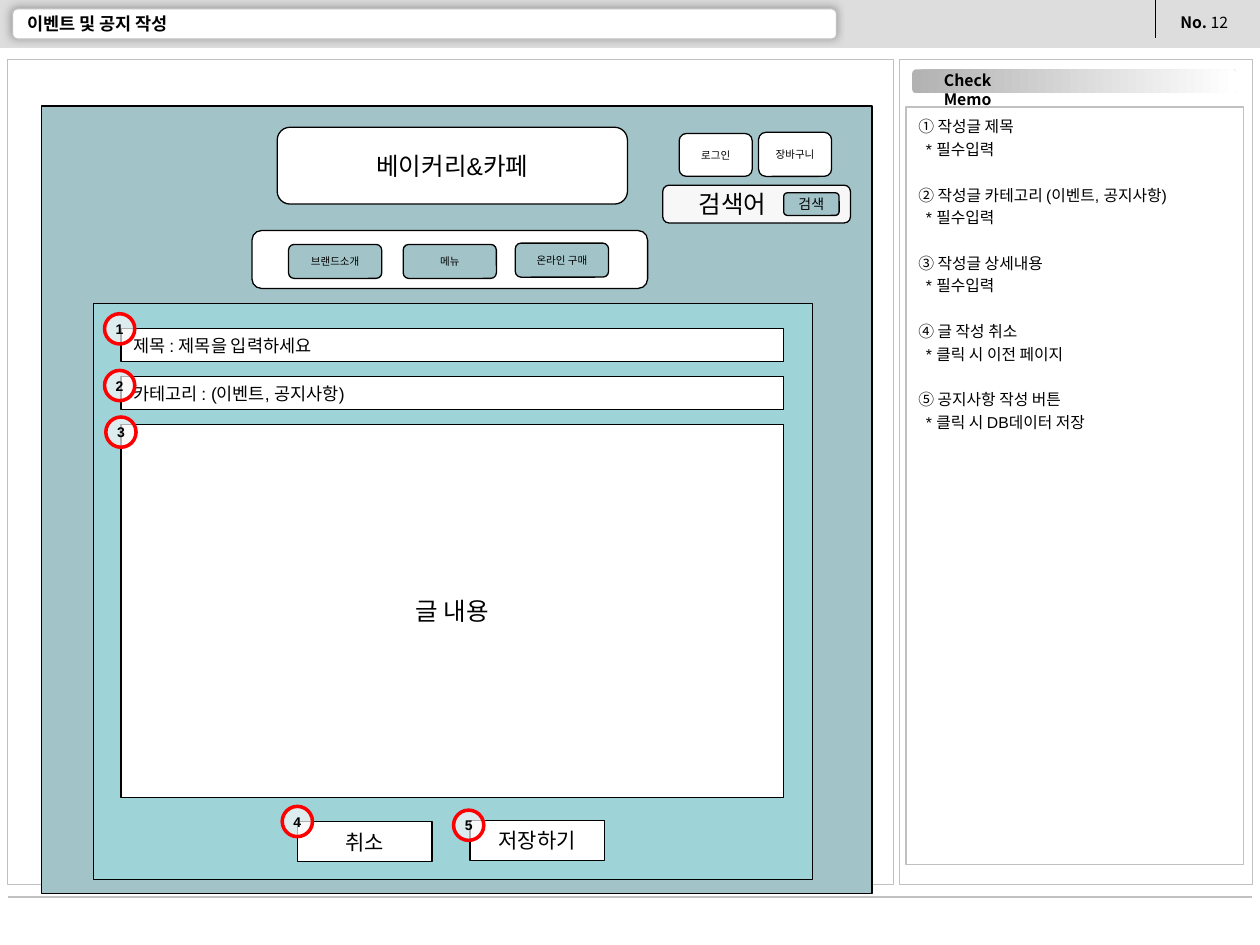
from lxml.etree import SubElement
from pptx import Presentation
from pptx.dml.color import RGBColor
from pptx.enum.shapes import MSO_CONNECTOR, MSO_SHAPE
from pptx.enum.text import MSO_ANCHOR, PP_ALIGN
from pptx.oxml.ns import qn
from pptx.util import Inches, Pt

BLACK = RGBColor(0x00, 0x00, 0x00)
WHITE = RGBColor(0xFF, 0xFF, 0xFF)
PALE = RGBColor(0xF7, 0xF7, 0xF7)
BADGE = RGBColor(0xF8, 0xF8, 0xF8)
BAND = RGBColor(0xDD, 0xDD, 0xDD)
GREY = RGBColor(0xC0, 0xC0, 0xC0)
STEEL = RGBColor(0xB2, 0xB2, 0xB2)
TEAL = RGBColor(0xA2, 0xC4, 0xC9)
AQUA = RGBColor(0x9E, 0xD3, 0xD7)
RED = RGBColor(0xFF, 0x00, 0x00)
RECT, ROUND, OVAL = MSO_SHAPE.RECTANGLE, MSO_SHAPE.ROUNDED_RECTANGLE, MSO_SHAPE.OVAL
ARIAL, NOTO = "Arial", "Noto Sans CJK KR"
LEFT, CENTER = PP_ALIGN.LEFT, PP_ALIGN.CENTER

MEMO = [
    ("① 작성글 제목", "* 필수입력"),
    ("② 작성글 카테고리 (이벤트, 공지사항)", "* 필수입력"),
    ("③ 작성글 상세내용", "* 필수입력"),
    ("④ 글 작성 취소", "* 클릭 시 이전 페이지"),
    ("⑤ 공지사항 작성 버튼", "* 클릭 시 DB데이터 저장"),
]


def style(run, size, face=ARIAL, bold=False):
    """Format one run in black."""
    font = run.font
    font.size, font.name, font.bold = Pt(size), face, bold
    font.color.rgb = BLACK


def inset(frame, side=0.1, top=0.05):
    """Set the margins of a text frame and let it wrap."""
    frame.word_wrap = True
    frame.margin_left = frame.margin_right = Inches(side)
    frame.margin_top = frame.margin_bottom = Inches(top)


def panel(slide, kind, box, fill, edge=BLACK, width=0.75):
    """Draw a filled shape with an optional outline."""
    shape = slide.shapes.add_shape(kind, *map(Inches, box))
    shape.shadow.inherit = False
    shape.fill.solid()
    shape.fill.fore_color.rgb = fill
    if edge is None:
        shape.line.fill.background()
    else:
        shape.line.color.rgb = edge
        shape.line.width = Pt(width)
    return shape


def write(shape, text, size, align=CENTER, bold=False):
    """Put one centred-height line of text in a shape."""
    frame = shape.text_frame
    inset(frame, top=0.1)
    frame.vertical_anchor = MSO_ANCHOR.MIDDLE
    para = frame.paragraphs[0]
    para.text, para.alignment = text, align
    style(para.runs[0], size, bold=bold)
    return shape


def label(slide, box, parts, size, face, align=LEFT, anchor=MSO_ANCHOR.TOP):
    """Add a text box made of (text, bold) runs."""
    frame = slide.shapes.add_textbox(*map(Inches, box)).text_frame
    inset(frame)
    frame.vertical_anchor = anchor
    para = frame.paragraphs[0]
    para.alignment = align
    for text, bold in parts:
        run = para.add_run()
        run.text = text
        style(run, size, face, bold)


def rule(slide, start, end, color, width):
    """Draw a straight line without a shadow."""
    line = slide.shapes.add_connector(MSO_CONNECTOR.STRAIGHT, *map(Inches, start + end))
    line.line.color.rgb = color
    line.line.width = Pt(width)
    SubElement(line._element.spPr, qn("a:effectLst"))


def glow(shape):
    """Give a shape a soft grey outer shadow."""
    effects = shape._element.spPr.find(qn("a:effectLst"))
    outer = SubElement(effects, qn("a:outerShdw"), blurRad=str(Pt(5)),
                       dist=str(Pt(1.4)), dir="13500000", algn="ctr", rotWithShape="0")
    SubElement(outer, qn("a:srgbClr"), val="989898")


def badge(slide, x, y, number):
    """Place a numbered red ring at a corner."""
    ring = panel(slide, OVAL, (x, y, 0.24, 0.24), BADGE, RED, 2)
    color = ring.fill._xPr.find(qn("a:solidFill"))[0]
    SubElement(color, qn("a:alpha"), val="70000")
    write(ring, str(number), 8, bold=True)
    inset(ring.text_frame, 0.04)


def header(slide, x, y, w, h):
    """Build the top band with the title and page number."""
    panel(slide, RECT, (x, y, w, h), BAND, None)
    rule(slide, (x + 9.17, y), (x + 9.17, y + 0.3), BLACK, 0.75)
    label(slide, (x + 9.27, y + 0.05, 0.62, 0.25), [("No. ", True), ("12", False)], 9, NOTO)
    glow(panel(slide, ROUND, (x + 0.1, y + 0.07, 6.54, 0.24), WHITE, GREY))
    label(slide, (x + 0.12, y + 0.1, 5.42, 0.18), [("이벤트 및 공지 작성", True)],
          10, ARIAL, anchor=MSO_ANCHOR.MIDDLE)


def memo(slide, x, y, w, h):
    """Build the side panel with the numbered notes."""
    panel(slide, RECT, (x, y, w, h), WHITE, GREY)
    bar = panel(slide, ROUND, (x + 0.1, y + 0.08, 2.57, 0.19), WHITE, None)
    bar.fill.gradient()
    bar.fill.gradient_angle = 0
    for stop, color in zip(bar.fill.gradient_stops, (STEEL, WHITE)):
        stop.color.rgb = color
    label(slide, (x + 0.06, y + 0.04, 0.96, 0.25), [("Check Memo", True)], 9, NOTO, CENTER)
    frame = panel(slide, RECT, (x + 0.05, y + 0.38, w - 0.12, h - 0.54), WHITE, GREY).text_frame
    inset(frame)
    frame.vertical_anchor = MSO_ANCHOR.TOP
    for i, pair in enumerate(MEMO):
        for j, text in enumerate(pair):
            para = frame.add_paragraph() if i or j else frame.paragraphs[0]
            para.text, para.alignment, para.line_spacing = text, LEFT, 1.2
            if j:
                para._p.get_or_add_pPr().set("marL", str(Inches(0.06)))
            elif i:
                para.space_before = Pt(13)
            style(para.runs[0], 9)


def site(slide, x, y, w, h):
    """Build the shop page with its name, search and menu."""
    panel(slide, RECT, (x, y, w, h), TEAL)
    panel(slide, ROUND, (x + 1.67, y + 0.99, 3.14, 0.46), WHITE)
    find = panel(slide, ROUND, (x + 4.93, y + 0.63, 1.49, 0.3), PALE)
    write(find, "검색어", 14, LEFT).text_frame.margin_left = Inches(0.27)
    for left, top, wide, high, fill, text, size in (
        (1.87, 0.17, 2.78, 0.61, WHITE, "베이커리&카페", 14),
        (5.06, 0.22, 0.58, 0.34, WHITE, "로그인", 6),
        (5.69, 0.21, 0.58, 0.35, WHITE, "장바구니", 6),
        (5.89, 0.69, 0.44, 0.18, TEAL, "검색", 8),
        (1.96, 1.1, 0.74, 0.27, TEAL, "브랜드소개", 6),
        (2.87, 1.1, 0.74, 0.27, TEAL, "메뉴", 6),
        (3.76, 1.09, 0.74, 0.27, TEAL, "온라인 구매", 6),
    ):
        write(panel(slide, ROUND, (x + left, y + top, wide, high), fill), text, size)


def form(slide, x, y, w, h):
    """Build the post form with its fields, buttons and badges."""
    panel(slide, RECT, (x, y, w, h), AQUA)
    for left, top, wide, high, text, size, align in (
        (0.22, 0.2, 5.26, 0.26, "제목 : 제목을 입력하세요", 10, LEFT),
        (0.22, 0.58, 5.26, 0.26, "카테고리 : (이벤트, 공지사항)", 10, LEFT),
        (0.22, 0.96, 5.26, 2.96, "글 내용", 14, CENTER),
        (1.62, 4.11, 1.07, 0.32, "취소", 12, CENTER),
        (2.99, 4.1, 1.07, 0.32, "저장하기", 12, CENTER),
    ):
        write(panel(slide, RECT, (x + left, y + top, wide, high), WHITE), text, size, align)
    spots = ((0.09, 0.08), (0.09, 0.53), (0.1, 0.9), (1.5, 3.99), (2.86, 4.02))
    for number, (left, top) in enumerate(spots, 1):
        badge(slide, x + left, y + top, number)


def main():
    """Assemble the slide and save it."""
    deck = Presentation()
    deck.slide_width, deck.slide_height = Inches(10), Inches(7.5)
    slide = deck.slides.add_slide(deck.slide_layouts[6])
    header(slide, 0, 0, 10, 0.38)
    rule(slide, (0.06, 7.12), (9.94, 7.12), GREY, 1.5)
    memo(slide, 7.14, 0.47, 2.8, 6.55)
    panel(slide, RECT, (0.06, 0.47, 7.03, 6.55), WHITE, GREY)
    site(slide, 0.33, 0.84, 6.59, 6.25)
    form(slide, 0.74, 2.41, 5.71, 4.57)
    deck.save("out.pptx")


if __name__ == "__main__":
    main()
